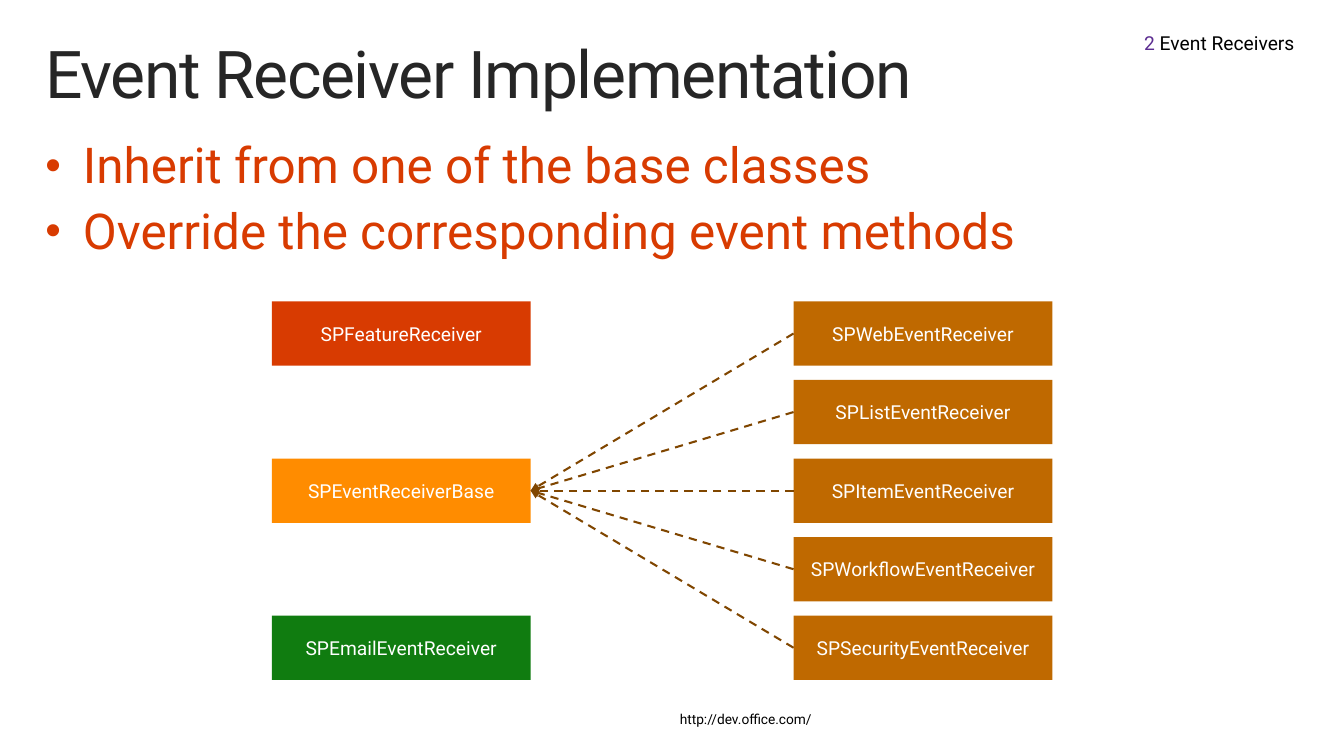
from lxml import etree
from pptx import Presentation
from pptx import util as u
from pptx.dml.color import RGBColor
from pptx.enum import dml, shapes, text
from pptx.oxml import ns

RED = RGBColor(0xD8, 0x3B, 0x01)
ORANGE = RGBColor(0xFF, 0x8C, 0x00)
GREEN = RGBColor(0x10, 0x7C, 0x10)
AMBER = RGBColor(0xBF, 0x69, 0x00)
BROWN = RGBColor(0x80, 0x46, 0x00)
PURPLE = RGBColor(0x5C, 0x2D, 0x91)
INK = RGBColor(0x26, 0x26, 0x26)
BLACK = RGBColor(0, 0, 0)
WHITE = RGBColor(0xFF, 0xFF, 0xFF)

FONT = "Roboto"
COLS, ROWS = 136, 153
WIDE = (0.16, 0.1, 0.16, 0.1)
LEFT, RIGHT = 27.5, 80.3
TOP, STEP = 61, 15.9
BASES = [("SPFeatureReceiver", RED, 0), ("SPEventReceiverBase", ORANGE, 2),
         ("SPEmailEventReceiver", GREEN, 4)]
KINDS = ["Web", "List", "Item", "Workflow", "Security"]


class Deck:
    """Hold the style and the current slide, with lengths in grid columns and rows."""

    def __init__(self):
        self.prs = Presentation()
        self.prs.slide_width, self.prs.slide_height = u.Inches(13.6), u.Inches(7.65)
        self.slide = self.prs.slides.add_slide(self.prs.slide_layouts[1])

    def grid(self, x, y, w, h):
        col, row = self.prs.slide_width / COLS, self.prs.slide_height / ROWS
        return [round(n) for n in (x * col, y * row, w * col, h * row)]

    def put(self, item, values):
        for key, value in values.items():
            setattr(item, key, value)

    def place(self, shape, *area):
        self.put(shape, dict(zip(("left", "top", "width", "height"), self.grid(*area))))
        return shape

    def frame(self, shape, pads, **values):
        frame = shape.text_frame
        names = ("margin_left", "margin_top", "margin_right", "margin_bottom")
        base = {"word_wrap": True, "auto_size": text.MSO_AUTO_SIZE.NONE,
                "vertical_anchor": text.MSO_ANCHOR.TOP}
        self.put(frame, base | dict(zip(names, map(u.Inches, pads))) | values)
        return frame

    def say(self, para, words, size, color, **values):
        self.put(para, values)
        run = para.add_run()
        run.text = words
        self.put(run.font, {"name": FONT, "size": u.Pt(size)})
        run.font.color.rgb = color
        return run

    def title(self, words):
        shape = self.place(self.slide.shapes.title, 3, 6.4, 130, 20)
        para = self.frame(shape, WIDE).paragraphs[0]
        run = self.say(para, words, 48, INK, line_spacing=0.9,
                       alignment=text.PP_ALIGN.LEFT)
        run.font._element.set("spc", "-100")

    def list(self, items):
        shape = self.place(self.slide.placeholders[1], 3, 26.6, 130, 28.2)
        frame = self.frame(shape, WIDE)
        for i, words in enumerate(items):
            para = frame.add_paragraph() if i else frame.paragraphs[0]
            props = para._p.get_or_add_pPr()
            dent = u.Inches(0.38)
            props.set("marL", str(dent))
            props.set("indent", str(-dent))
            for tag, key, value in (("buSzPct", "val", "90000"),
                                    ("buFont", "typeface", "Arial"),
                                    ("buChar", "char", "•")):
                etree.SubElement(props, ns.qn("a:" + tag)).set(key, value)
            self.say(para, words, 36, RED, line_spacing=0.9,
                     space_before=u.Pt(8.5 if i else 0))

    def label(self, area, runs, size, pads, form, **values):
        shape = self.slide.shapes.add_textbox(*self.grid(*area))
        para = self.frame(shape, pads, **values).paragraphs[0]
        for words, color in runs:
            self.say(para, words, size, color, **form)

    def box(self, words, fill, x, slot):
        area = self.grid(x, TOP + slot * STEP, 26.2, 13)
        shape = self.slide.shapes.add_shape(shapes.MSO_SHAPE.RECTANGLE, *area)
        shape.shadow.inherit = False
        shape.fill.solid()
        shape.fill.fore_color.rgb = fill
        shape.line.fill.background()
        frame = self.frame(shape, (0, 0.05, 0, 0.05),
                           vertical_anchor=text.MSO_ANCHOR.MIDDLE)
        self.say(frame.paragraphs[0], words, 14, WHITE,
                 alignment=text.PP_ALIGN.CENTER)
        return shape

    def arrow(self, start, end):
        link = self.slide.shapes.add_connector(shapes.MSO_CONNECTOR.STRAIGHT, 0, 0, 0, 0)
        link.begin_connect(start, 1)
        link.end_connect(end, 3)
        self.put(link.line, {"width": u.Pt(1.5), "dash_style": dml.MSO_LINE.DASH})
        link.line.color.rgb = BROWN
        line = link.line._get_or_add_ln()
        etree.SubElement(line, ns.qn("a:tailEnd")).set("type", "triangle")
        etree.SubElement(link._element.spPr, ns.qn("a:effectLst"))


def main():
    deck = Deck()
    deck.title("Event Receiver Implementation")
    deck.list(["Inherit from one of the base classes",
               "Override the corresponding event methods"])
    deck.label((87.1, 4.6, 45.9, 8.2), [("2 ", PURPLE), ("Event Receivers", BLACK)],
               14, (0.1, 0.05, 0.2, 0.05), {"alignment": text.PP_ALIGN.RIGHT},
               vertical_anchor=text.MSO_ANCHOR.MIDDLE)
    deck.label((67.2, 142.2, 16.6, 7), [("http://dev.office.com/", BLACK)],
               10, WIDE, {"line_spacing": 0.9}, word_wrap=False)
    bases = [deck.box(name, fill, LEFT, slot) for name, fill, slot in BASES]
    for slot, kind in enumerate(KINDS):
        child = deck.box(f"SP{kind}EventReceiver", AMBER, RIGHT, slot)
        deck.arrow(child, bases[1])
    deck.prs.save("out.pptx")


if __name__ == "__main__":
    main()
